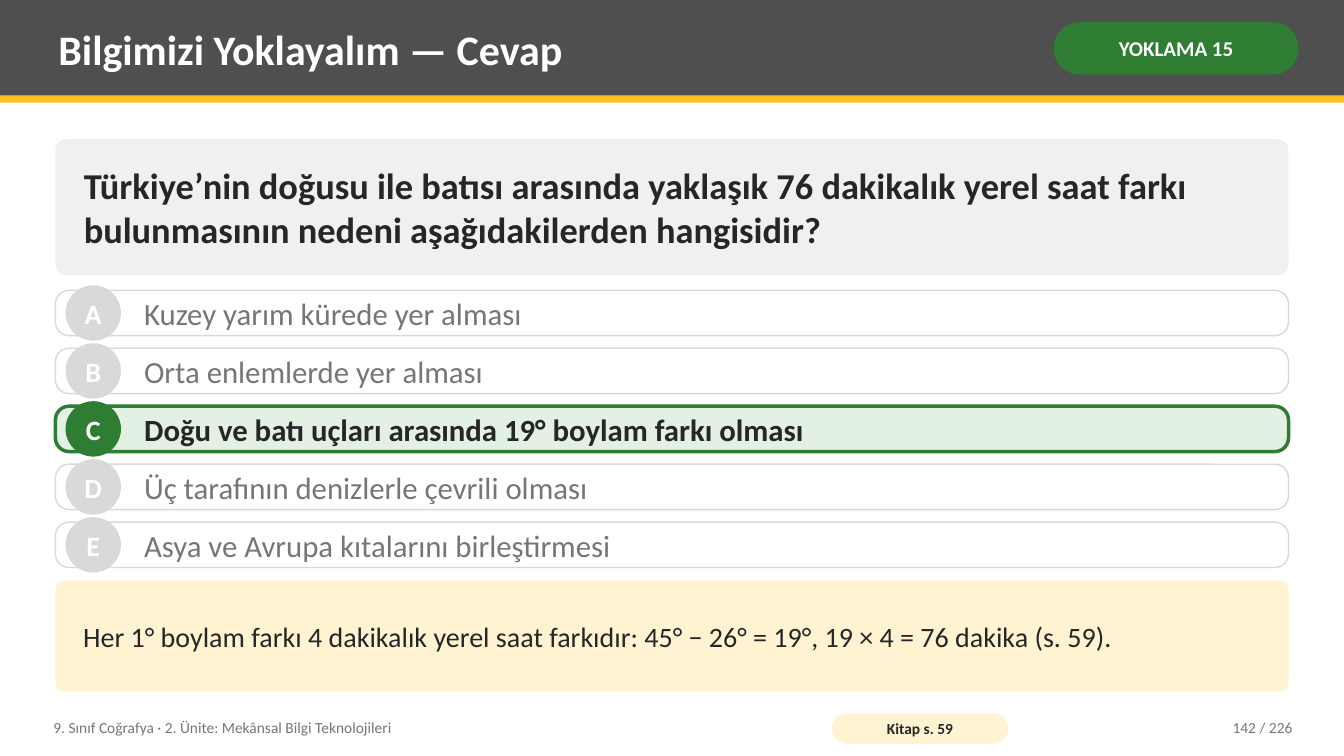
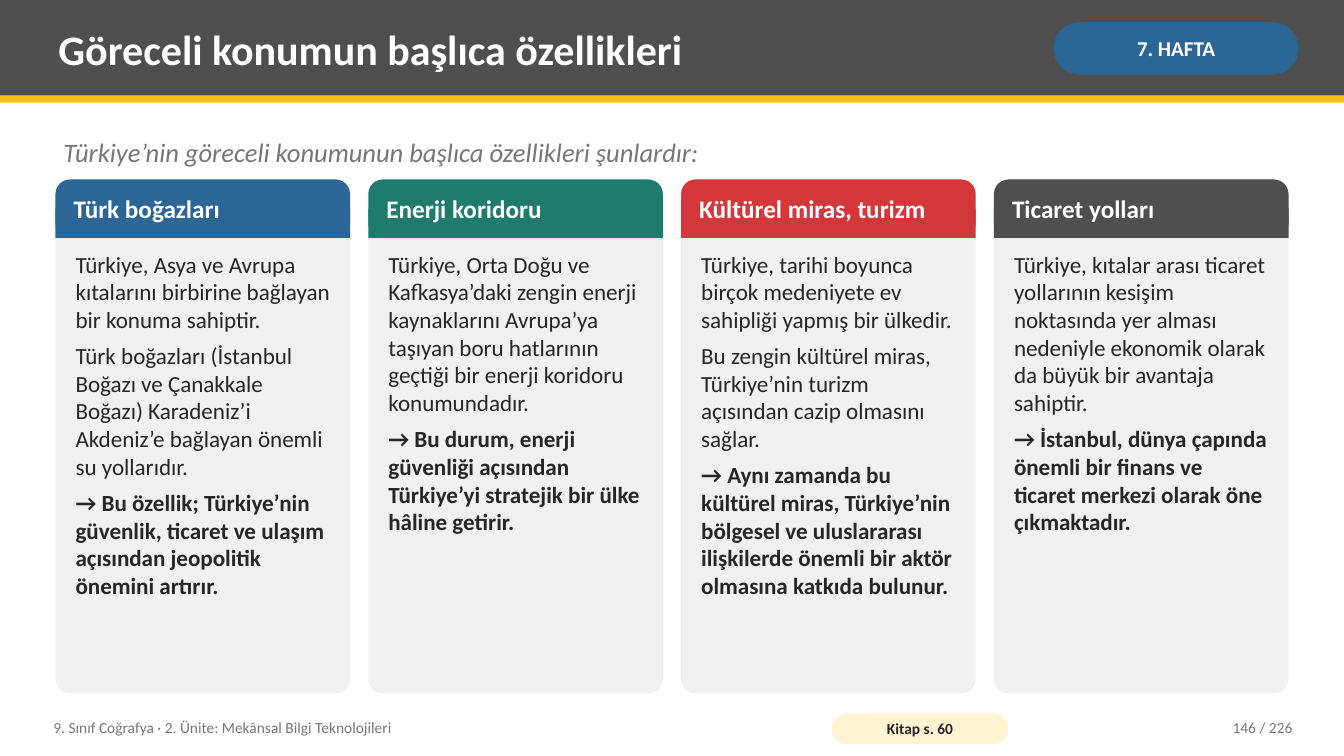
from pptx import Presentation
from pptx.dml.color import RGBColor as Rgb
from pptx.enum.shapes import MSO_SHAPE as Shape
from pptx.enum.text import MSO_ANCHOR as Anchor, PP_ALIGN as Align
from pptx.util import Inches, Pt

HUES = {
    "white": "FFFFFF", "dark": "4F4F4F", "gold": "FCC021", "cream": "FFF3D1",
    "ink": "262626", "gray": "767676", "pale": "F0F0F0", "rule": "D9D9D9",
    "green": "2E7D32", "mint": "E3F1E4", "blue": "2C6696", "teal": "1E7B6E",
    "red": "D3373A",
}
FONT = "Calibri"
WIDE, HIGH = 13.33, 7.5
LEFT, SPAN = 0.55, 12.23
UNIT = "9. Sınıf Coğrafya · 2. Ünite: Mekânsal Bilgi Teknolojileri"
TOTAL = 226

ANSWERS = [
    "Kuzey yarım kürede yer alması",
    "Orta enlemlerde yer alması",
    "Doğu ve batı uçları arasında 19° boylam farkı olması",
    "Üç tarafının denizlerle çevrili olması",
    "Asya ve Avrupa kıtalarını birleştirmesi",
]
CARDS = [
    ("Türk boğazları", "blue", [
        "Türkiye, Asya ve Avrupa kıtalarını birbirine bağlayan bir konuma sahiptir.",
        "Türk boğazları (İstanbul Boğazı ve Çanakkale Boğazı) Karadeniz’i Akdeniz’e bağlayan önemli su yollarıdır.",
        "→ Bu özellik; Türkiye’nin güvenlik, ticaret ve ulaşım açısından jeopolitik önemini artırır.",
    ]),
    ("Enerji koridoru", "teal", [
        "Türkiye, Orta Doğu ve Kafkasya’daki zengin enerji kaynaklarını Avrupa’ya taşıyan boru hatlarının geçtiği bir enerji koridoru konumundadır.",
        "→ Bu durum, enerji güvenliği açısından Türkiye’yi stratejik bir ülke hâline getirir.",
    ]),
    ("Kültürel miras, turizm", "red", [
        "Türkiye, tarihi boyunca birçok medeniyete ev sahipliği yapmış bir ülkedir.",
        "Bu zengin kültürel miras, Türkiye’nin turizm açısından cazip olmasını sağlar.",
        "→ Aynı zamanda bu kültürel miras, Türkiye’nin bölgesel ve uluslararası ilişkilerde önemli bir aktör olmasına katkıda bulunur.",
    ]),
    ("Ticaret yolları", "dark", [
        "Türkiye, kıtalar arası ticaret yollarının kesişim noktasında yer alması nedeniyle ekonomik olarak da büyük bir avantaja sahiptir.",
        "→ İstanbul, dünya çapında önemli bir finans ve ticaret merkezi olarak öne çıkmaktadır.",
    ]),
]


def tint(name):
    """Return the named colour."""
    return Rgb.from_string(HUES[name])


def draw(slide, box, fill, kind=Shape.RECTANGLE, adj=None, line=None, width=1):
    """Add a flat preset shape."""
    item = slide.shapes.add_shape(kind, *map(Inches, box))
    item.shadow.inherit = False
    item.fill.solid()
    item.fill.fore_color.rgb = tint(fill)
    if adj is not None:
        item.adjustments[0] = adj
    if line:
        item.line.color.rgb = tint(line)
        item.line.width = Pt(width)
    else:
        item.line.fill.background()
    return item


def pill(slide, box, fill, adj=0.5, **style):
    """Add a rounded rectangle."""
    return draw(slide, box, fill, Shape.ROUNDED_RECTANGLE, adj, **style)


def write(item, *lines, size, hue="ink", bold=False, italic=False,
          align=Align.LEFT, anchor=Anchor.MIDDLE, pad=(0.08, 0.04), wrap=True, gap=6):
    """Fill a shape with paragraphs; those led by an arrow are bold."""
    frame = item.text_frame
    frame.word_wrap = wrap
    frame.vertical_anchor = anchor
    frame.margin_left = frame.margin_right = Inches(pad[0])
    frame.margin_top = frame.margin_bottom = Inches(pad[1])
    for i, line in enumerate(lines):
        para = frame.add_paragraph() if i else frame.paragraphs[0]
        para.alignment = align
        if i < len(lines) - 1:
            para.space_after = Pt(gap)
        run = para.add_run()
        run.text = line
        font = run.font
        font.name, font.size = FONT, Pt(size)
        font.bold, font.italic = bold or line.startswith("→"), italic
        font.color.rgb = tint(hue)


def label(slide, box, *lines, **style):
    """Add a text box."""
    write(slide.shapes.add_textbox(*map(Inches, box)), *lines, **style)


def header(slide, title, tag, hue):
    """Place the title band and its tag."""
    draw(slide, (0, 0, WIDE, 0.95), "dark")
    draw(slide, (0, 0.95, WIDE, 0.07), "gold")
    label(slide, (0.5, 0.07, 9.75, 0.82), title, size=30, hue="white", bold=True)
    write(pill(slide, (10.45, 0.22, 2.43, 0.52), hue), tag, size=15,
          hue="white", bold=True, align=Align.CENTER, pad=(0.05, 0.02))


def footer(slide, book, page):
    """Place the unit name, book page and slide number."""
    top, high = 7.04, 0.36
    label(slide, (0.45, top, 7.6, high), UNIT, size=11, hue="gray")
    write(pill(slide, (8.25, top + 0.04, 1.75, 0.3), "cream"), f"Kitap s. {book}",
          size=11, bold=True, align=Align.CENTER, pad=(0.04, 0))
    label(slide, (11.3, top, 1.6, high), f"{page} / {TOTAL}", size=11,
          hue="gray", align=Align.RIGHT)


def panel(slide, box, text, fill, **style):
    """Place a tinted block of text."""
    write(pill(slide, box, fill, 0.08), text, pad=(0.25, 0.08), **style)


def choice(slide, box, mark, text, right):
    """Place one answer row with its letter badge."""
    left, top, wide, high = box
    fill, edge, width = ("mint", "green", 2.5) if right else ("white", "rule", 1)
    disc = 0.55
    pill(slide, box, fill, 0.3, line=edge, width=width)
    badge = draw(slide, (left + 0.1, top + (high - disc) / 2, disc, disc), edge, Shape.OVAL)
    write(badge, mark, size=20, hue="white", bold=True, align=Align.CENTER,
          pad=(0, 0), wrap=False)
    label(slide, (left + 0.8, top, wide - 1, high), text, size=22,
          hue="ink" if right else "gray", bold=right)


def card(slide, box, title, hue, lines):
    """Place one column with a coloured heading."""
    left, top, wide, high = box
    head = 0.58
    pill(slide, box, "pale", 0.05)
    pill(slide, (left, top, wide, head), hue, 0.25)
    draw(slide, (left, top + head / 2, wide, head / 2), hue)
    label(slide, (left + 0.1, top, wide - 0.2, head), title, size=18,
          hue="white", bold=True)
    label(slide, (left + 0.12, top + head + 0.08, wide - 0.24, high - head - 0.16),
          *lines, size=16.5, anchor=Anchor.TOP)


def quiz(slide):
    """Build the answer slide."""
    header(slide, "Bilgimizi Yoklayalım — Cevap", "YOKLAMA 15", "green")
    panel(slide, (LEFT, 1.38, SPAN, 1.35),
          "Türkiye’nin doğusu ile batısı arasında yaklaşık 76 dakikalık yerel saat farkı "
          "bulunmasının nedeni aşağıdakilerden hangisidir?", "pale", size=26, bold=True)
    high, step = 0.45, 2.3 / (len(ANSWERS) - 1)
    for i, (mark, text) in enumerate(zip("ABCDE", ANSWERS)):
        choice(slide, (LEFT, 2.88 + i * step, SPAN, high), mark, text, mark == "C")
    panel(slide, (LEFT, 5.76, SPAN, 1.1),
          "Her 1° boylam farkı 4 dakikalık yerel saat farkıdır: "
          "45° − 26° = 19°, 19 × 4 = 76 dakika (s. 59).", "cream", size=20)
    footer(slide, 59, 142)


def topic(slide):
    """Build the four-column slide."""
    header(slide, "Göreceli konumun başlıca özellikleri", "7. HAFTA", "blue")
    label(slide, (LEFT, 1.3, SPAN, 0.42),
          "Türkiye’nin göreceli konumunun başlıca özellikleri şunlardır:",
          size=19, hue="gray", italic=True)
    gap, count = 0.18, len(CARDS)
    wide = (SPAN - gap * (count - 1)) / count
    for i, data in enumerate(CARDS):
        card(slide, (LEFT + i * (wide + gap), 1.78, wide, 5.1), *data)
    footer(slide, 60, 146)


def main():
    """Build and save the deck."""
    deck = Presentation()
    deck.slide_width, deck.slide_height = Inches(WIDE), Inches(HIGH)
    for build in (quiz, topic):
        build(deck.slides.add_slide(deck.slide_layouts[6]))
    deck.save("out.pptx")


if __name__ == "__main__":
    main()
